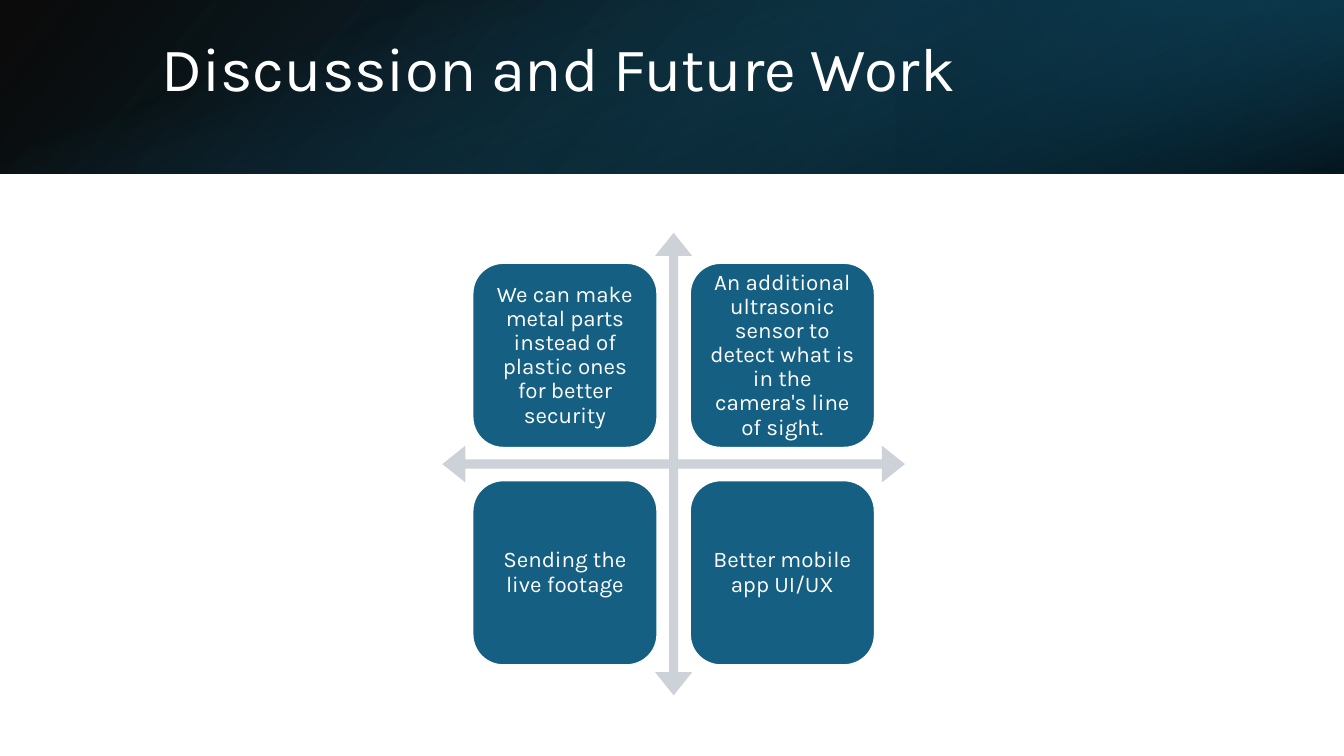
from lxml import etree
from pptx import Presentation
from pptx.dml.color import RGBColor
from pptx.enum.shapes import MSO_SHAPE
from pptx.enum.text import MSO_ANCHOR, MSO_AUTO_SIZE, PP_ALIGN
from pptx.oxml.ns import qn
from pptx.util import Pt

RECTANGLE = MSO_SHAPE.RECTANGLE
QUAD_ARROW = MSO_SHAPE.QUAD_ARROW
ROUNDED = MSO_SHAPE.ROUNDED_RECTANGLE
TOP, MIDDLE = MSO_ANCHOR.TOP, MSO_ANCHOR.MIDDLE
LEFT, CENTER = PP_ALIGN.LEFT, PP_ALIGN.CENTER
NO_AUTOFIT = MSO_AUTO_SIZE.NONE

WHITE = RGBColor(0xFF, 0xFF, 0xFF)
BLACK = RGBColor(0x00, 0x00, 0x00)
BLUE = RGBColor(0x15, 0x60, 0x82)
DEEP_BLUE = RGBColor(0x10, 0x48, 0x62)
NIGHT_BLUE = RGBColor(0x0B, 0x30, 0x41)
ARROW_GREY = RGBColor(0xCC, 0xD2, 0xD8)

FONT = "Karla"
SLIDE_W, SLIDE_H = 960, 540
BAND_H = 123.84
TITLE_ONLY_LAYOUT = 5

FUTURE_WORK = [
    "We can make metal parts instead of plastic ones for better security",
    "An additional ultrasonic sensor to detect what is in the camera's line of sight.",
    "Sending the live footage",
    "Better mobile app UI/UX",
]


def write_text(frame, text, size, align, anchor, insets):
    frame.word_wrap = True
    frame.auto_size = NO_AUTOFIT
    frame.vertical_anchor = anchor
    (frame.margin_left, frame.margin_top,
     frame.margin_right, frame.margin_bottom) = map(Pt, insets)
    paragraph = frame.paragraphs[0]
    paragraph.alignment = align
    paragraph.line_spacing = 0.9
    run = paragraph.add_run()
    run.text = text
    run.font.size = Pt(size)
    run.font.name = FONT
    run.font.color.rgb = WHITE


def add_plain_shape(slide, kind, left, top, width, height):
    shape = slide.shapes.add_shape(kind, Pt(left), Pt(top), Pt(width), Pt(height))
    shape.shadow.inherit = False
    shape.line.fill.background()
    return shape


def add_gradient_layer(slide, box, stops, angle, rotation=0, flip=False):
    """Stops are (position, colour, opacity in percent); angle is clockwise."""
    layer = add_plain_shape(slide, RECTANGLE, *box)
    layer.rotation = rotation
    if flip:
        layer.element.spPr.xfrm.set("flipH", "1")
    layer.fill.gradient()
    layer.fill.gradient_angle = 360 - angle
    for stop, (position, color, _) in zip(layer.fill.gradient_stops, stops):
        stop.position = position
        stop.color.rgb = color
    # Stop opacity
    colors = layer.element.spPr.findall(".//" + qn("a:gs") + "/" + qn("a:srgbClr"))
    for color, (_, _, opacity) in zip(colors, stops):
        etree.SubElement(color, qn("a:alpha")).set("val", str(opacity * 1000))


def add_header_band(slide, left, top, width, height):
    add_gradient_layer(slide, (left, top, width, height),
                       [(0, BLACK, 96), (1, DEEP_BLUE, 100)], 140, flip=True)
    # Glow over the right third
    glow_w = width / 3
    add_gradient_layer(slide, (left + width - glow_w, top, glow_w, height),
                       [(0.19, NIGHT_BLUE, 68), (1, BLUE, 79)], 320,
                       rotation=180, flip=True)
    # Full-width shade, a tall box turned on its side
    shift = (width - height) / 2
    add_gradient_layer(slide, (left + shift, top - shift, height, width),
                       [(0.23, BLUE, 0), (0.99, BLACK, 74)], 340, rotation=90)


def place_title(slide, left, top, width, height):
    title = slide.shapes.title
    title.left, title.top = Pt(left), Pt(top)
    title.width, title.height = Pt(width), Pt(height)
    write_text(title.text_frame, "Discussion and Future Work", size=44.1,
               align=LEFT, anchor=TOP, insets=(7.2, 0, 7.2, 0))
    # Bring the title in front of the band
    slide.shapes.element.append(title.element)


def add_future_work_matrix(slide, left, top, size):
    # Four-way arrow
    axes = add_plain_shape(slide, QUAD_ARROW, left, top, size, size)
    axes.fill.solid()
    axes.fill.fore_color.rgb = ARROW_GREY
    for index, ratio in enumerate((0.02, 0.04, 0.05)):
        axes.adjustments[index] = ratio

    # One tile in each quadrant
    margin, tile_size, pitch = size * 0.065, size * 0.4, size * 0.47
    for index, idea in enumerate(FUTURE_WORK):
        row, column = divmod(index, 2)
        tile = add_plain_shape(slide, ROUNDED, left + margin + column * pitch,
                               top + margin + row * pitch, tile_size, tile_size)
        tile.fill.solid()
        tile.fill.fore_color.rgb = BLUE
        tile.line.color.rgb = WHITE
        tile.line.width = Pt(1.5)
        write_text(tile.text_frame, idea, size=16, align=CENTER,
                   anchor=MIDDLE, insets=(5, 5, 5, 5))


def main():
    prs = Presentation()
    prs.slide_width, prs.slide_height = Pt(SLIDE_W), Pt(SLIDE_H)
    slide = prs.slides.add_slide(prs.slide_layouts[TITLE_ONLY_LAYOUT])
    slide.background.fill.solid()
    slide.background.fill.fore_color.rgb = WHITE
    add_header_band(slide, 0, 0, SLIDE_W, BAND_H)
    place_title(slide, 108, 27.4, 790.6, 69)
    add_future_work_matrix(slide, 316, 166.3, 330.4)
    prs.save("out.pptx")


if __name__ == "__main__":
    main()
